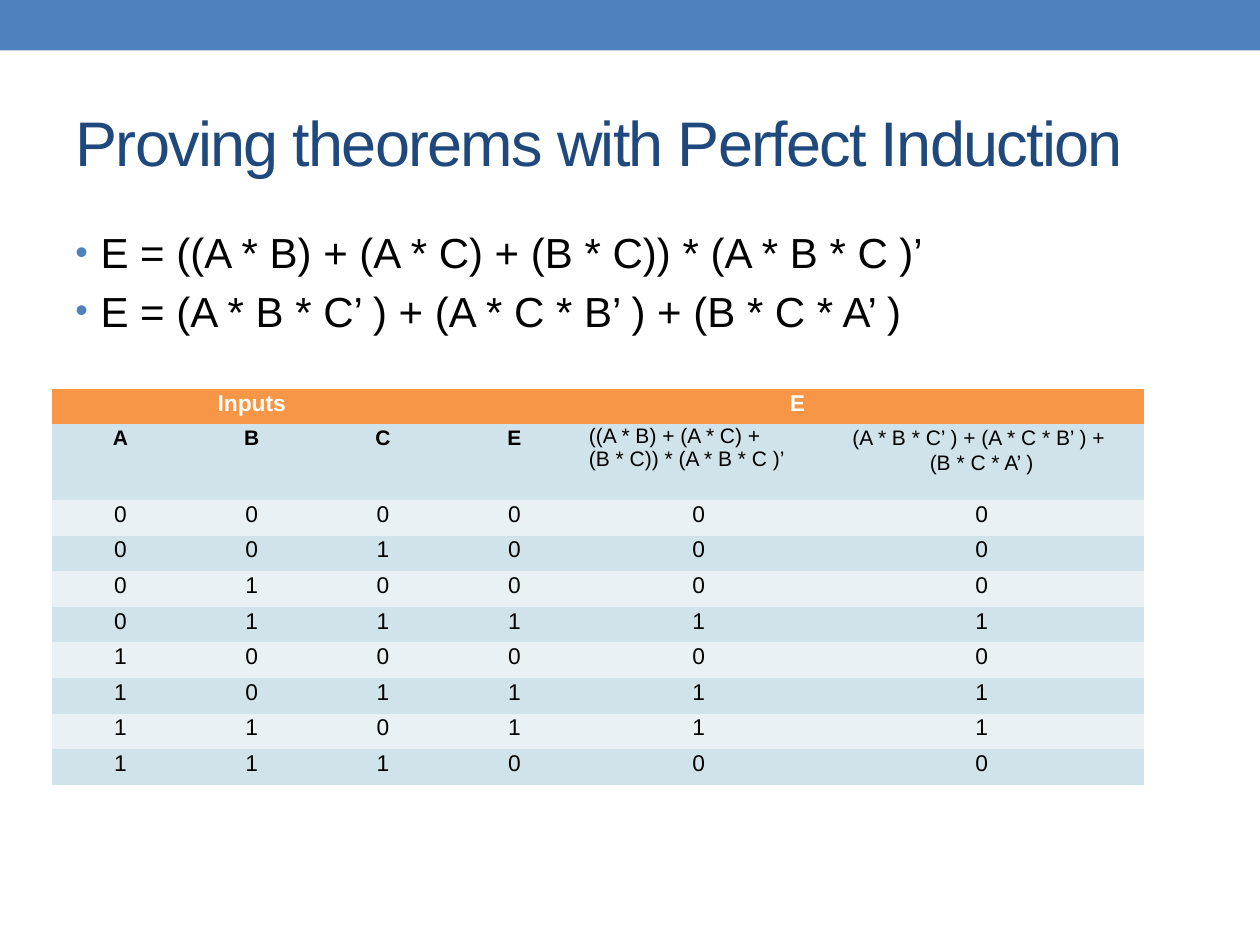
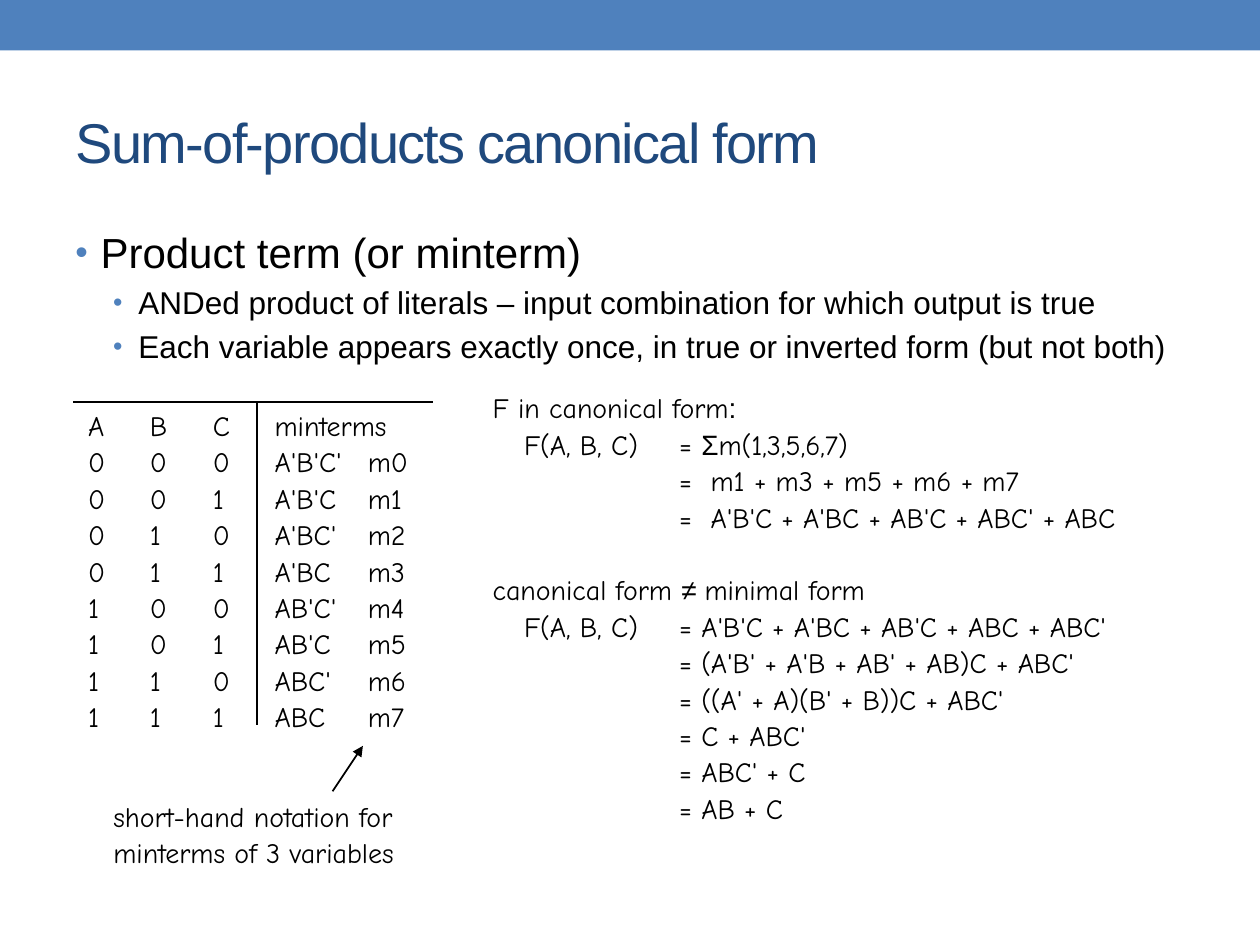
"""Build two slides on Boolean proofs and the sum-of-products canonical form."""
from itertools import product

from lxml.etree import SubElement
from pptx import Presentation
from pptx.dml.color import RGBColor as RGB
from pptx.enum.shapes import MSO_CONNECTOR as CONNECTOR, MSO_SHAPE as SHAPE
from pptx.enum.text import MSO_ANCHOR as ANCHOR, MSO_AUTO_SIZE as AUTO, PP_ALIGN as ALIGN
from pptx.oxml.ns import qn
from pptx.util import Inches, Pt

COLORS = {"band": "4F81BD", "title": "1F497D", "text": "000000", "white": "FFFFFF",
          "header": "F79646", "dark_row": "D0E3EA", "light_row": "E9F1F5"}
SANS, HAND = "Arial", "Comic Neue"
COLUMNS, ROWS = 100, 75
CELL = Inches(10) // COLUMNS
NO_STYLE = "{2D5ABB26-0587-4C30-8999-92F81FD0307C}"


def grid(*units):
    """Turn grid columns and rows into lengths."""
    return [round(unit * CELL) for unit in units]


def write(paragraph, text, size, font=SANS, color="text", bold=False):
    """Add text as runs, with a line break at each newline."""
    for number, line in enumerate(text.split("\n")):
        if number:
            paragraph.add_line_break()
        if line:
            run = paragraph.add_run()
            run.text = line
            run.font.size, run.font.name, run.font.bold = Pt(size), font, bold
            run.font.color.rgb = RGB.from_string(COLORS[color])


deck = Presentation()
deck.slide_width, deck.slide_height = grid(COLUMNS, ROWS)

OUTLINES = [
    ("Proving theorems with Perfect Induction", 36, [
        (0, "E = ((A * B) + (A * C) + (B * C)) * (A * B * C )’"),
        (0, "E = (A * B * C’ ) + (A * C * B’ ) + (B * C * A’ )")]),
    ("Sum-of-products canonical form", 32, [
        (0, "Product term (or minterm)"),
        (1, "ANDed product of literals – input combination for which output is true"),
        (1, "Each variable appears exactly once, in true or inverted form (but not both)")]),
]

for heading, heading_size, points in OUTLINES:
    slide = deck.slides.add_slide(deck.slide_layouts[5])
    band = slide.shapes.add_shape(SHAPE.RECTANGLE, *grid(0, 0, COLUMNS, 4))
    band.shadow.inherit = False
    band.fill.solid()
    band.fill.fore_color.rgb = RGB.from_string(COLORS["band"])
    band.line.fill.background()

    title = slide.shapes.title
    title.left, title.top, title.width, title.height = grid(5, 5.8, 90, 10.8)
    title.text_frame.word_wrap = True
    title.text_frame.auto_size = AUTO.NONE
    title.text_frame.vertical_anchor = ANCHOR.MIDDLE
    headline = title.text_frame.paragraphs[0]
    headline.alignment = ALIGN.LEFT
    write(headline, heading, heading_size, color="title")
    headline.runs[0].font._element.set("spc", "-100")

    body = slide.shapes.add_textbox(*grid(5, 17.5, 90, 53.3)).text_frame
    body.word_wrap = True
    for number, (level, point) in enumerate(points):
        bullet = body.add_paragraph() if number else body.paragraphs[0]
        bullet.level = level
        props = bullet._p.get_or_add_pPr()
        props.set("marL", str(Inches((0.2, 0.5)[level])))
        props.set("indent", str(-Inches(0.2)))
        SubElement(SubElement(props, qn("a:spcBef")), qn("a:spcPct"), val="20000")
        SubElement(SubElement(props, qn("a:buClr")), qn("a:srgbClr"), val=COLORS["band"])
        SubElement(props, qn("a:buSzPct"), val="85000")
        SubElement(props, qn("a:buFont"), typeface=SANS)
        SubElement(props, qn("a:buChar"), char="•")
        write(bullet, point, (24, 18)[level])

induction, canonical = deck.slides
combinations = list(product((0, 1), repeat=3))

truth_rows = [
    ["Inputs", "", "", "E", "", ""],
    ["A", "B", "C", "E", "((A * B) + (A * C) + \n(B * C)) * (A * B * C )’",
     "(A * B * C’ ) + (A * C * B’ ) + \n(B * C * A’ )"],
]
for inputs in combinations:
    truth_rows.append([str(bit) for bit in inputs] + [str(int(sum(inputs) == 2))] * 3)

truth_frame = induction.shapes.add_table(len(truth_rows), 6, *grid(4.15, 30.85, 86.6, 31.4))
truth_frame._element.find(".//" + qn("a:tableStyleId")).text = NO_STYLE
truth = truth_frame.table
for column, width in zip(truth.columns, grid(10.8, 10.05, 10.8, 10.05, 19.2, 25.75)):
    column.width = width
for start in (0, 3):
    truth.cell(0, start).merge(truth.cell(0, start + 2))
for r, values in enumerate(truth_rows):
    truth.rows[r].height = grid(6 if r == 1 else 2.83)[0]
    for c, value in enumerate(values):
        cell = truth.cell(r, c)
        cell.fill.solid()
        shade = "header" if r == 0 else ("light_row", "dark_row")[r % 2]
        cell.fill.fore_color.rgb = RGB.from_string(COLORS[shade])
        cell.margin_left = cell.margin_right = Inches(0.09)
        cell.margin_top = cell.margin_bottom = 0
        entry = cell.text_frame.paragraphs[0]
        if (r, c) != (1, 4):
            entry.alignment, entry.line_spacing = ALIGN.CENTER, 1.07
        write(entry, value, 12 if r == 1 else 13, color="text" if r else "white",
              bold=r == 0 or (r == 1 and c < 4))

minterm_lines = [[("A\tB\tC\tminterms", HAND)]]
for index, bits in enumerate(combinations):
    literals = "".join(name + ("" if bit else "'") for name, bit in zip("ABC", bits))
    digits = "\t".join(str(bit) for bit in bits)
    minterm_lines.append([(f"{digits}\t{literals}\tm{index}", HAND)])

derivation = [
    [("F in canonical form", HAND), (":", SANS)],
    [("\tF(A, B, C)\t= ", HAND), ("Σ", SANS), ("m(1,3,5,6,7)", HAND)],
    [("\t\t=\tm1 + m3 + m5 + m6 + m7", HAND)],
    [("\t\t=\tA'B'C + A'BC + AB'C + ABC' + ABC", HAND)],
    [("canonical form ", HAND), ("≠ ", SANS), ("minimal form", HAND)],
    [("\tF(A, B, C)\t= A'B'C + A'BC + AB'C + ABC + ABC'", HAND)],
]
for step in ("(A'B' + A'B + AB' + AB)C + ABC'", "((A' + A)(B' + B))C + ABC'",
             "C + ABC'", "ABC' + C", "AB + C"):
    derivation.append([("\t\t= " + step, HAND)])

shorthand = [[("short-hand notation for", HAND)], [("minterms of 3 variables", HAND)]]

for area, stops, lines in [
    ((8.8, 62.9, 28.4, 7.1), (), shorthand),
    ((6.8, 31.9, 28.8, 27.3), (0.49, 0.99, 1.48, 2.22), minterm_lines),
    ((38.9, 30.5, 60, 35.9), (0.25, 1.48, 1.73), derivation),
]:
    notes = canonical.shapes.add_textbox(*grid(*area)).text_frame
    notes.word_wrap = True
    notes.margin_left = notes.margin_right = Inches(0.02)
    notes.margin_top = notes.margin_bottom = Inches(0.03)
    for number, parts in enumerate(lines):
        row = notes.add_paragraph() if number else notes.paragraphs[0]
        row.line_spacing = Pt(20.8)
        if parts[0][0] == "canonical form ":
            row.space_before = Pt(20.8)
        if stops:
            tabs = SubElement(row._p.get_or_add_pPr(), qn("a:tabLst"))
            for stop in stops:
                SubElement(tabs, qn("a:tab"), pos=str(Inches(stop)), algn="l")
        for text, font in parts:
            write(row, text, 16, font)

for ends, has_arrow in [((5.8, 31.9, 34.4, 31.9), False),
                        ((20.4, 31.9, 20.4, 57.5), False),
                        ((26.4, 62.8, 28.8, 59.2), True)]:
    rule = canonical.shapes.add_connector(CONNECTOR.STRAIGHT, *grid(*ends))
    rule.line.color.rgb = RGB.from_string(COLORS["text"])
    rule.line.width = Pt(1)
    if has_arrow:
        SubElement(rule.get_or_add_ln(), qn("a:tailEnd"), type="triangle")
    SubElement(rule._element.spPr, qn("a:effectLst"))

deck.save("out.pptx")
